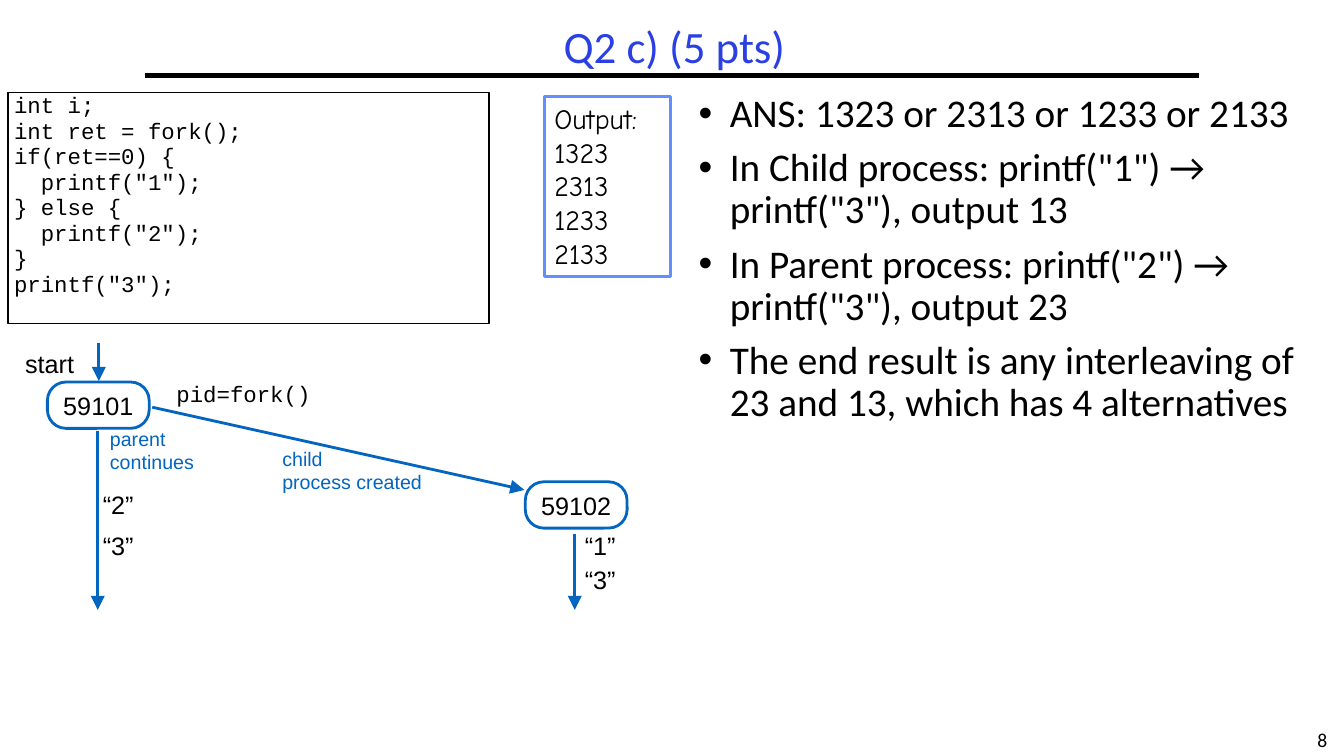
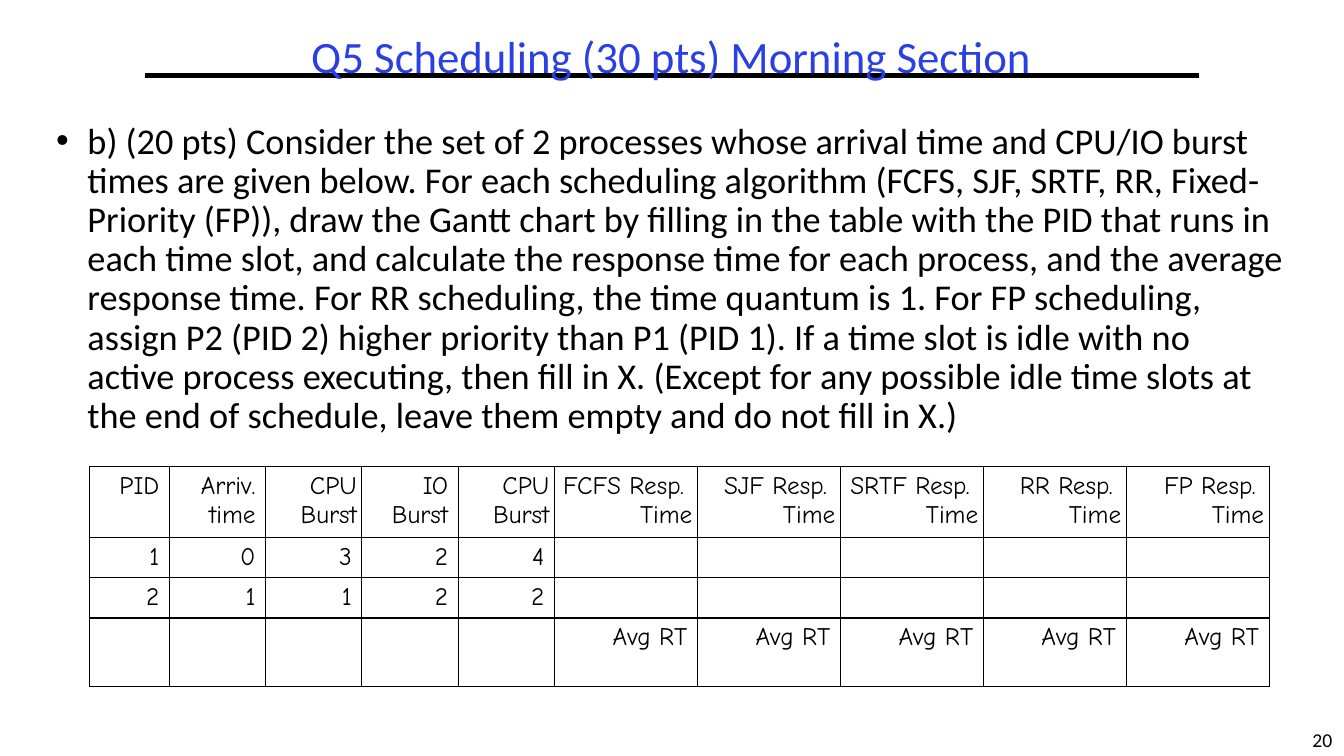
"""Build two exam-solution slides: a fork() process diagram and a scheduling table."""
import pptx
import pptx.dml.color
import pptx.enum.shapes
import pptx.enum.text
import pptx.oxml
import pptx.oxml.ns
import pptx.util
from lxml import etree

Inches, Pt = pptx.util.Inches, pptx.util.Pt
ALIGN = pptx.enum.text.PP_ALIGN
ANCHOR = pptx.enum.text.MSO_ANCHOR
SHAPE = pptx.enum.shapes.MSO_SHAPE
qn = pptx.oxml.ns.qn
COLORS = {name: pptx.dml.color.RGBColor.from_string(value) for name, value in {
    "ink": "000000", "title": "2A40E2", "flow": "0365C0",
    "frame": "618FFD", "paper": "FFFFFF"}.items()}


def write(holder, lines, size, font="Arial", color="ink", align=ALIGN.LEFT,
          insets=(0, 0, 0, 0), spacing=None, before=0, bullet=False,
          anchor=ANCHOR.TOP, wrap=True):
    """Fill a shape or table cell with one paragraph per line."""
    frame = holder.text_frame
    frame.word_wrap = wrap
    owner = frame if hasattr(holder, "shape_id") else holder
    owner.vertical_anchor = anchor
    (owner.margin_left, owner.margin_top,
     owner.margin_right, owner.margin_bottom) = map(Inches, insets)
    for index, line in enumerate(lines):
        para = frame.paragraphs[0] if index == 0 else frame.add_paragraph()
        para.alignment = align
        para.line_spacing = spacing
        para.space_before = Pt(before)
        if bullet:
            props = para._p.get_or_add_pPr()
            props.set("marL", str(Inches(0.31)))
            props.set("indent", str(-Inches(0.31)))
            etree.SubElement(props, qn("a:buFont")).set("typeface", "Arial")
            etree.SubElement(props, qn("a:buChar")).set("char", "•")
        span = para.add_run()
        span.text = line
        span.font.size = Pt(size)
        span.font.name = font
        span.font.color.rgb = COLORS[color]


def connect(page, start, end, color, width, arrow=True):
    """Draw a straight line, with an arrowhead at its end if wanted."""
    link = page.shapes.add_connector(
        pptx.enum.shapes.MSO_CONNECTOR.STRAIGHT, *map(Inches, start + end))
    link.line.color.rgb = COLORS[color]
    link.line.width = Pt(width)
    if arrow:
        head = etree.SubElement(link.line._get_or_add_ln(), qn("a:tailEnd"))
        for key, value in (("type", "triangle"), ("w", "lg"), ("len", "lg")):
            head.set(key, value)
    etree.SubElement(link._element.spPr, qn("a:effectLst"))


deck = pptx.Presentation()
deck.slide_width, deck.slide_height = Inches(13.33), Inches(7.5)
INSETS = (0.1, 0.05, 0.1, 0.05)

pages = []
for title, title_left, title_top, number, body_at, body_size, bullets in (
    ("Q2 c) (5 pts)", 0.49, 0.2, "8", (6.83, 0.88, 6.28, 6.32), 28, [
        "ANS: 1323 or 2313 or 1233 or 2133",
        'In Child process: printf("1") → printf("3"), output 13',
        'In Parent process: printf("2") → printf("3"), output 23',
        "The end result is any interleaving of 23 and 13, which has 4 alternatives"]),
    ("Q5 Scheduling (30 pts) Morning Section", 0.46, 0.3, "20",
     (0.46, 1.17, 12.4, 3.24), 25.9, [
        "b) (20 pts) Consider the set of 2 processes whose arrival time and CPU/IO "
        "burst times are given below. For each scheduling algorithm (FCFS, SJF, SRTF, "
        "RR, Fixed-Priority (FP)), draw the Gantt chart by filling in the table with "
        "the PID that runs in each time slot, and calculate the response time for each "
        "process, and the average response time. For RR scheduling, the time quantum "
        "is 1. For FP scheduling, assign P2 (PID 2) higher priority than P1 (PID 1). "
        "If a time slot is idle with no active process executing, then fill in X. "
        "(Except for any possible idle time slots at the end of schedule, leave them "
        "empty and do not fill in X.)"]),
):
    page = deck.slides.add_slide(deck.slide_layouts[6])
    pages.append(page)
    box = page.shapes.add_textbox(*map(Inches, (12.9, 7.17, 0.43, 0.33)))
    write(box, [number], 14, "Calibri", align=ALIGN.CENTER, insets=INSETS, wrap=False)
    connect(page, (1.44, 0.75), (11.89, 0.75), "ink", 3, arrow=False)
    box = page.shapes.add_textbox(*map(Inches, (title_left, title_top, 12.4, 0.58)))
    write(box, [title], 32, "Calibri", "title", ALIGN.CENTER, INSETS, 0.9)
    box = page.shapes.add_textbox(*map(Inches, body_at))
    write(box, bullets, body_size, "Calibri", insets=INSETS, spacing=0.9,
          before=0.3 * body_size, bullet=True)

fork_page, table_page = pages

code = ["int i;", "int ret = fork();", "if(ret==0) {", '  printf("1");',
        "} else {", '  printf("2");', "}", 'printf("3");']
outputs = ["Output:", "1323", "2313", "1233", "2133"]
code_style = dict(size=16, font="Courier New", insets=(0.06, 0.06, 0, 0),
                  spacing=Pt(14), before=4.2)
output_style = dict(size=20, font="Comic Neue", insets=INSETS)
node_style = dict(size=18, align=ALIGN.CENTER, anchor=ANCHOR.MIDDLE)
for kind, place, lines, fill, color, width, style in (
    (SHAPE.RECTANGLE, (0.08, 0.92, 4.77, 2.29), code, None, "ink", 1, code_style),
    (SHAPE.RECTANGLE, (5.4, 0.96, 1.25, 1.78), outputs, "paper", "frame", 2, output_style),
    (SHAPE.ROUNDED_RECTANGLE, (0.47, 3.79, 1.01, 0.46), ["59101"], None, "flow", 2, node_style),
    (SHAPE.ROUNDED_RECTANGLE, (5.21, 4.78, 1.01, 0.46), ["59102"], None, "flow", 2, node_style),
):
    box = fork_page.shapes.add_shape(kind, *map(Inches, place))
    box.shadow.inherit = False
    if kind == SHAPE.ROUNDED_RECTANGLE:
        box.adjustments[0] = 0.4
    if fill:
        box.fill.solid()
        box.fill.fore_color.rgb = COLORS[fill]
    else:
        box.fill.background()
    box.line.color.rgb = COLORS[color]
    box.line.width = Pt(width)
    write(box, lines, **style)

for start, end in (((0.98, 3.4), (0.98, 3.78)), ((1.51, 4.04), (5.2, 4.86)),
                   ((0.97, 4.28), (0.97, 6.05)), ((5.7, 5.3), (5.7, 6.05))):
    connect(fork_page, start, end, "flow", 2)

for place, lines, size, font, color, spacing in (
    ((0.25, 3.46, 0.6, 0.33), ["start"], 18, "Arial", "ink", None),
    ((1.75, 3.77, 1.6, 0.28), ["pid=fork()"], 16, "Courier New", "ink", None),
    ((1.09, 4.25, 0.95, 0.48), ["parent continues"], 14, "Arial", "flow", Pt(16)),
    ((2.8, 4.44, 1.5, 0.48), ["child", "process created"], 14, "Arial", "flow", Pt(16.4)),
    ((1.02, 4.85, 0.57, 0.32), ["“2”"], 18, "Arial", "ink", None),
    ((1.02, 5.26, 0.57, 0.32), ["“3”"], 18, "Arial", "ink", None),
    ((5.8, 5.26, 0.57, 0.32), ["“1”"], 18, "Arial", "ink", None),
    ((5.8, 5.6, 0.57, 0.32), ["“3”"], 18, "Arial", "ink", None),
):
    box = fork_page.shapes.add_textbox(*map(Inches, place))
    write(box, lines, size, font, color, spacing=spacing)

algorithms = ["FCFS", "SJF", "SRTF", "RR", "FP"]
blanks = [""] * 5
rows = [
    ["PID", "Arriv. time", "CPU Burst", "IO Burst", "CPU Burst"]
    + [f"{name} Resp.  Time" for name in algorithms],
    ["1", "0", "3", "2", "4"] + blanks,
    ["2", "1", "1", "2", "2"] + blanks,
    blanks + ["Avg RT"] * 5,
]
widths = [0.79] + [0.955] * 4 + [1.418] * 5
heights = [0.68, 0.39, 0.39, 0.68]
table = table_page.shapes.add_table(
    len(rows), len(widths),
    *map(Inches, (0.89, 4.63, sum(widths), sum(heights)))).table
table.first_row = table.horz_banding = False
for column, width in zip(table.columns, widths):
    column.width = Inches(width)
for row, height in zip(table.rows, heights):
    row.height = Inches(height)
for row_index, texts in enumerate(rows):
    for column_index, text in enumerate(texts):
        cell = table.cell(row_index, column_index)
        cell.fill.background()
        if text:
            tight = row_index == 0 and (text == "CPU Burst" or column_index > 4)
            side = 0.05 if tight else 0.1
            write(cell, [text], 18, "Comic Neue", align=ALIGN.RIGHT,
                  insets=(side, 0.05, side, 0.05))
        else:
            cell.margin_top = cell.margin_bottom = 0
        props = cell._tc.get_or_add_tcPr()
        for position, edge in enumerate(("a:lnL", "a:lnR", "a:lnT", "a:lnB")):
            border = etree.Element(qn(edge), w=str(Pt(1)))
            paint = etree.SubElement(border, qn("a:solidFill"))
            etree.SubElement(paint, qn("a:srgbClr")).set("val", str(COLORS["ink"]))
            props.insert(position, border)

deck.save("out.pptx")
